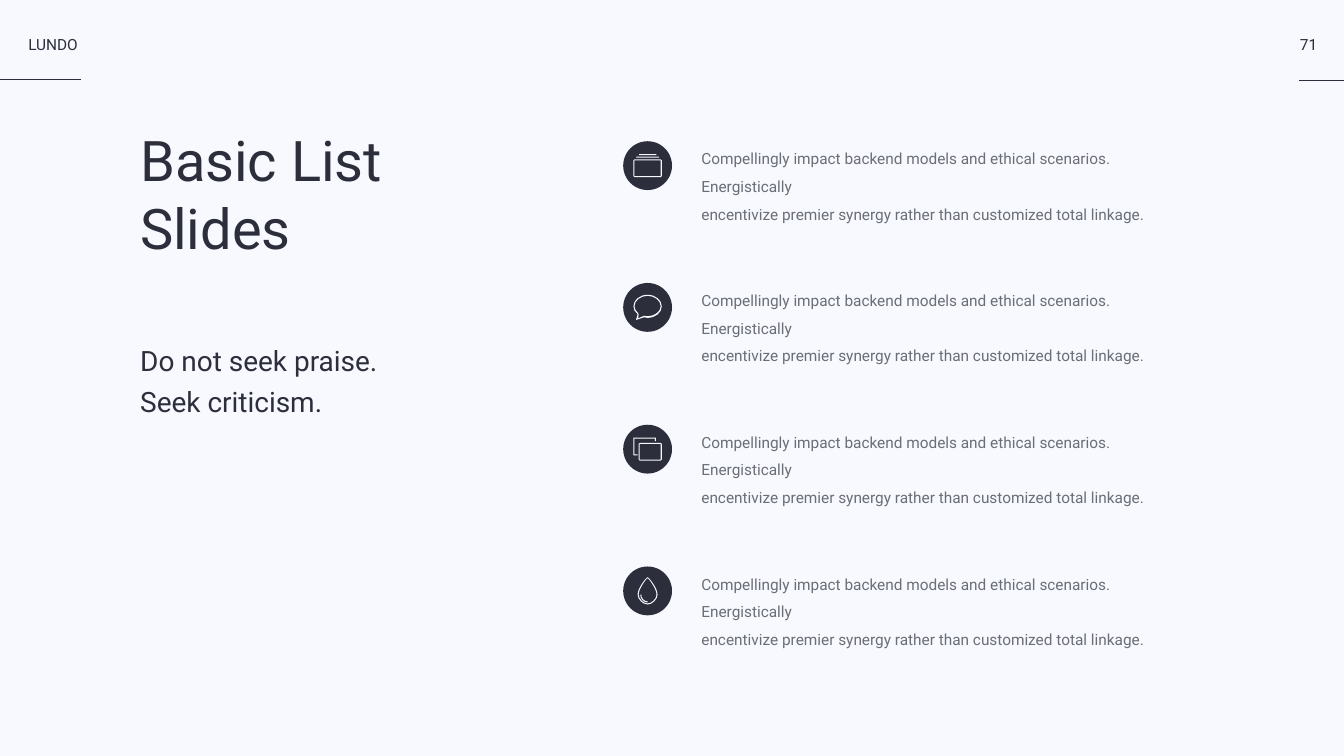
from lxml.etree import SubElement
from pptx import Presentation
from pptx.dml.color import RGBColor
from pptx.enum.shapes import MSO_CONNECTOR, MSO_SHAPE
from pptx.enum.text import PP_ALIGN
from pptx.oxml.ns import qn
from pptx.util import Pt

PX = 9525  # EMU in one px
WIDE, HIGH = 2560, 1440
FONT = "Roboto"
PALE = RGBColor(0xF7, 0xF9, 0xFF)
DARK = RGBColor(0x2C, 0x2E, 0x3C)
GREY = RGBColor(0x6A, 0x6E, 0x77)
ITEM = [
    "Compellingly impact backend models and ethical scenarios. Energistically",
    "encentivize premier synergy rather than customized total linkage.",
]


# Basic parts
def add_text(slide, box, lines, size, color=DARK, space=None, align=None, wrap=False):
    frame = slide.shapes.add_textbox(*(v * PX for v in box)).text_frame
    frame.margin_left = frame.margin_right = 0
    frame.margin_top = frame.margin_bottom = 0
    frame.word_wrap = wrap
    frame.text = "\n".join(lines)
    for para in frame.paragraphs:
        para.alignment = align
        para.line_spacing = space
        para.font.name = FONT
        para.font.size = Pt(size)
        para.font.color.rgb = color


def add_rule(slide, left, right, top):
    rule = slide.shapes.add_connector(
        MSO_CONNECTOR.STRAIGHT, left * PX, top * PX, right * PX, top * PX)
    rule.line.color.rgb = DARK
    rule.line.width = Pt(2)
    SubElement(rule._element.spPr, qn("a:effectLst"))


def paint(shape, color):
    shape.shadow.inherit = False
    shape.fill.solid()
    shape.fill.fore_color.rgb = color
    shape.line.fill.background()


# Outlines in px from the middle of the badge: two numbers are a corner,
# six are a curve (two handles and an end)
def panel(left, top, right, low, bend=2):
    half = bend / 2
    return [
        (left + bend, top), (right - bend, top),
        (right - half, top, right, top + half, right, top + bend),
        (right, low - bend),
        (right, low - half, right - half, low, right - bend, low),
        (left + bend, low),
        (left + half, low, left, low - half, left, low - bend),
        (left, top + bend),
        (left, top + half, left + half, top, left + bend, top),
    ]


def border(left, top, right, low):
    hole = [(left + 2, top + 2), (left + 2, low - 2),
            (right - 2, low - 2), (right - 2, top + 2)]
    return [panel(left, top, right, low), hole]


def drop(tip, size):
    half, low = size // 2, 7 + size
    return [
        (0, tip), (2, tip, size, tip + 20, size, 7),
        (size, 7 + half, half, low, 0, low),
        (-half, low, -size, 7 + half, -size, 7),
        (-size, tip + 20, -2, tip, 0, tip),
    ]


STACK = [panel(-17, -22, 17, -20, 1), panel(-22, -17, 22, -15, 1)]
STACK += border(-27, -12, 27, 22)
BUBBLE = [
    [(-7, 19), (-5, 19, -3, 20, 0, 20), (15, 20, 27, 10, 27, -2),
     (27, -14, 15, -24, 0, -24), (-15, -24, -27, -14, -27, -2),
     (-27, 4, -24, 9, -19, 13), (-22, 24)],
    [(0, 17), (-2, 17, -5, 17, -7, 16), (-18, 21), (-17, 13),
     (-17, 12, -17, 11, -18, 11), (-22, 7, -25, 3, -25, -2),
     (-25, -13, -13, -22, 0, -22), (13, -22, 25, -13, 25, -2),
     (25, 8, 13, 17, 0, 17)],
]
WINDOWS = [[(-19, 10), (-25, 10), (-25, -20), (14, -20), (14, -15), (16, -15),
            (16, -22), (-27, -22), (-27, 12), (-19, 12)]] + border(-17, -12, 27, 22)
GLINT = [(0, 20), (-7, 20, -12, 14, -12, 7), (-12, 6, -14, 6, -14, 7),
         (-14, 15, -8, 22, 0, 22), (1, 22, 1, 20, 0, 20)]
WATER = [drop(-26, 19), drop(-24, 17), GLINT]


def add_icon(slide, x, y, paths):
    ends = [[(s[-2] * PX, s[-1] * PX) for s in path] for path in paths]
    build = slide.shapes.build_freeform(*ends[0][0])
    for i, path in enumerate(ends):
        if i:
            build.move_to(*path[0])
        build.add_line_segments(path[1:], close=True)
    shape = build.convert_to_shape(round(x * PX), round(y * PX))
    paint(shape, PALE)

    # Bend the segments that have handles
    left = min(p[0] for path in ends for p in path)
    top = min(p[1] for path in ends for p in path)
    lines = shape._element.spPr.iter(qn("a:lnTo"))
    steps = [s for path in paths for s in path[1:]]
    for line, step in zip(list(lines), steps):
        if len(step) == 6:
            bend = line.makeelement(qn("a:cubicBezTo"))
            for a, b in zip(step[::2], step[1::2]):
                SubElement(bend, qn("a:pt"), x=str(round(a * PX - left)),
                           y=str(round(b * PX - top)))
            line.getparent().replace(line, bend)


# Regions
def add_header(slide, left, top, wide):
    add_rule(slide, left, left + 155, top + 152)
    add_text(slide, (left + 54, top + 66, 101, 38), ["LUNDO"], 22)
    edge = left + wide
    add_rule(slide, edge - 85, edge, top + 153)
    add_text(slide, (edge - 85, top + 66, 35, 38), ["71"], 22, align=PP_ALIGN.CENTER)


def add_intro(slide, left, top):
    add_text(slide, (left, top, 498, 282), ["Basic List", "Slides"], 80)
    add_text(slide, (left, top + 402, 459, 156),
             ["Do not seek praise.", "Seek criticism."], 40, space=1.2)


def add_item(slide, left, top, icon):
    size = 93
    badge = slide.shapes.add_shape(
        MSO_SHAPE.OVAL, left * PX, (top + 2) * PX, size * PX, size * PX)
    paint(badge, DARK)
    add_icon(slide, left + size / 2, top + 2 + size / 2, icon)
    add_text(slide, (left + 149, top, 956, 97), ITEM, 22, GREY, 1.5, wrap=True)


def add_list(slide, left, top, pitch):
    for i, icon in enumerate([STACK, BUBBLE, WINDOWS, WATER]):
        add_item(slide, left, top + i * pitch, icon)


def main():
    deck = Presentation()
    deck.slide_width, deck.slide_height = WIDE * PX, HIGH * PX
    slide = deck.slides.add_slide(deck.slide_layouts[6])
    slide.background.fill.solid()
    slide.background.fill.fore_color.rgb = PALE
    add_header(slide, 0, 0, WIDE)
    add_intro(slide, 267, 240)
    add_list(slide, 1187, 267, 270)
    deck.save("out.pptx")


if __name__ == "__main__":
    main()
